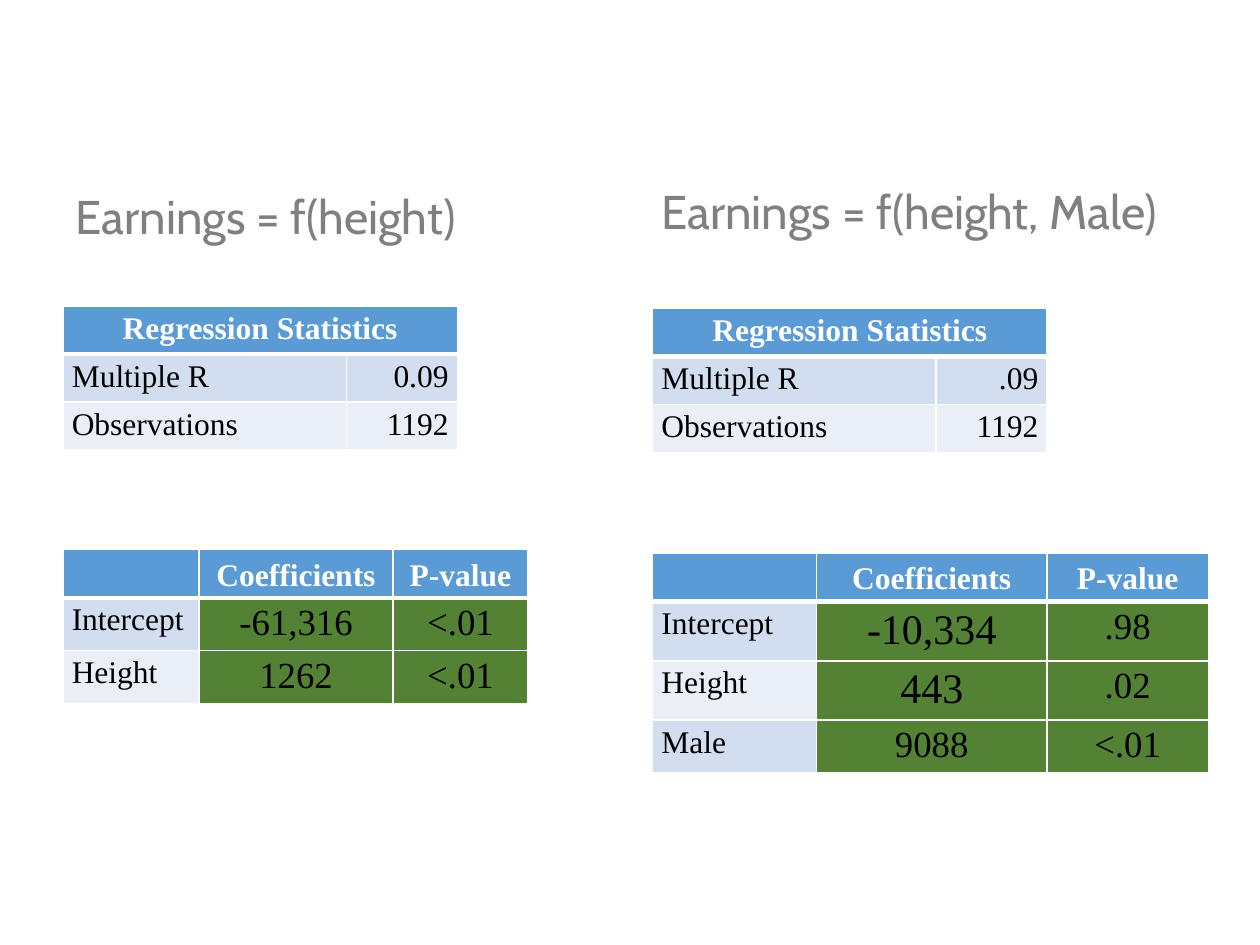
from lxml.etree import SubElement
from pptx import Presentation
from pptx.dml.color import RGBColor
from pptx.enum.text import MSO_ANCHOR, MSO_AUTO_SIZE, PP_ALIGN
from pptx.oxml.ns import qn
from pptx.util import Inches, Pt

THEME = {
    "heading_font": "Cabin", "table_font": "Times New Roman",
    "heading": "808080", "header": "5B9BD5", "bands": ("D2DEEF", "EAEFF7"),
    "highlight": "548235", "white": "FFFFFF", "black": "000000",
    "heading_size": 27, "body_size": 18, "value_size": 21, "large_size": 24,
    "line": 1, "header_line": 3,
}


def write_text(frame, text, alignment, format_values):
    para = frame.paragraphs[0]
    para.alignment = alignment
    if text:
        span = para.add_run()
        span.text = text
        for name, value in format_values.items():
            if name == "color":
                span.font.color.rgb = RGBColor.from_string(value)
            else:
                setattr(span.font, name, value)
    return para


def add_border(cell, side, width):
    line = SubElement(cell._tc.get_or_add_tcPr(), qn(f"a:{side}"), w=str(Pt(width)))
    fill = SubElement(line, qn("a:solidFill"))
    SubElement(fill, qn("a:srgbClr"), val=THEME["white"])


deck = Presentation()
deck.slide_width, deck.slide_height = Inches(10), Inches(7.5)
page = deck.slides.add_slide(deck.slide_layouts[5])

heading_format = {"name": THEME["heading_font"], "size": Pt(THEME["heading_size"]), "color": THEME["heading"]}
title = page.shapes.title
title.left, title.top, title.width, title.height = (Inches(n) for n in (0.5, 1.24, 4.25, 1))
male_heading = page.shapes.add_textbox(Inches(5.18), Inches(1.2), Inches(4.7), Inches(1))
headings = [(title, "Earnings = f(height)", 0.1, 0.05), (male_heading, "Earnings = f(height, Male)", 0.07, 0.04)]
for box, text, side_margin, end_margin in headings:
    frame_format = {
        "word_wrap": True, "auto_size": MSO_AUTO_SIZE.NONE, "vertical_anchor": MSO_ANCHOR.MIDDLE,
        "margin_left": Inches(side_margin), "margin_right": Inches(side_margin),
        "margin_top": Inches(end_margin), "margin_bottom": Inches(end_margin),
    }
    for name, value in frame_format.items():
        setattr(box.text_frame, name, value)
    write_text(box.text_frame, text, PP_ALIGN.LEFT, heading_format).line_spacing = 0.9

body, value, large = THEME["body_size"], THEME["value_size"], THEME["large_size"]
statistics_columns, statistics_heights = (2.25, 0.88), (0.38, 0.38, 0.38)
coefficients_header = ("", "Coefficients", "P-value")
tables = [
    (0.5, 2.43, statistics_columns, statistics_heights, [
        ("Regression Statistics", ""),
        ("Multiple R", ("0.09", body)),
        ("Observations", ("1192", body)),
    ]),
    (0.5, 4.36, (1.08, 1.54, 1.07), (0.38, 0.42, 0.42), [
        coefficients_header,
        ("Intercept", ("-61,316", value), ("<.01", value)),
        ("Height", ("1262", value), ("<.01", value)),
    ]),
    (5.18, 2.45, statistics_columns, statistics_heights, [
        ("Regression Statistics", ""),
        ("Multiple R", (".09", body)),
        ("Observations", ("1192", body)),
    ]),
    (5.18, 4.39, (1.3, 1.83, 1.28), (0.38, 0.47, 0.47, 0.42), [
        coefficients_header,
        ("Intercept", ("-10,334", large), (".98", value)),
        ("Height", ("443", large), (".02", value)),
        ("Male", ("9088", value), ("<.01", value)),
    ]),
]

for left, top, widths, heights, rows in tables:
    table = page.shapes.add_table(
        len(rows), len(widths), Inches(left), Inches(top), Inches(sum(widths)), Inches(sum(heights))
    ).table
    for column, width in zip(table.columns, widths):
        column.width = Inches(width)
    for row, height in zip(table.rows, heights):
        row.height = Inches(height)
    is_statistics = len(widths) == 2
    if is_statistics:
        table.cell(0, 0).merge(table.cell(0, 1))

    for row_index, row in enumerate(rows):
        for column_index, entry in enumerate(row):
            cell = table.cell(row_index, column_index)
            is_header, is_label = row_index == 0, column_index == 0
            text, size = entry if isinstance(entry, tuple) else (entry, body)
            if is_header:
                color, alignment = THEME["header"], PP_ALIGN.CENTER
            elif is_label or is_statistics:
                color = THEME["bands"][(row_index - 1) % 2]
                alignment = PP_ALIGN.LEFT if is_label else PP_ALIGN.RIGHT
            else:
                color, alignment = THEME["highlight"], PP_ALIGN.CENTER

            cell_format = {
                "margin_left": Inches(0.07), "margin_right": Inches(0.07),
                "margin_top": Inches(0.04), "margin_bottom": Inches(0.04),
                "vertical_anchor": MSO_ANCHOR.BOTTOM if is_header and not is_statistics else MSO_ANCHOR.TOP,
            }
            for name, setting in cell_format.items():
                setattr(cell, name, setting)
            for side in ("lnL", "lnR", "lnT", "lnB"):
                below_header = (row_index, side) in ((0, "lnB"), (1, "lnT"))
                add_border(cell, side, THEME["header_line" if below_header else "line"])
            cell.fill.solid()
            cell.fill.fore_color.rgb = RGBColor.from_string(color)
            write_text(cell.text_frame, text, alignment, {
                "name": THEME["table_font"], "size": Pt(size), "bold": is_header,
                "color": THEME["white" if is_header else "black"],
            })

deck.save("out.pptx")
